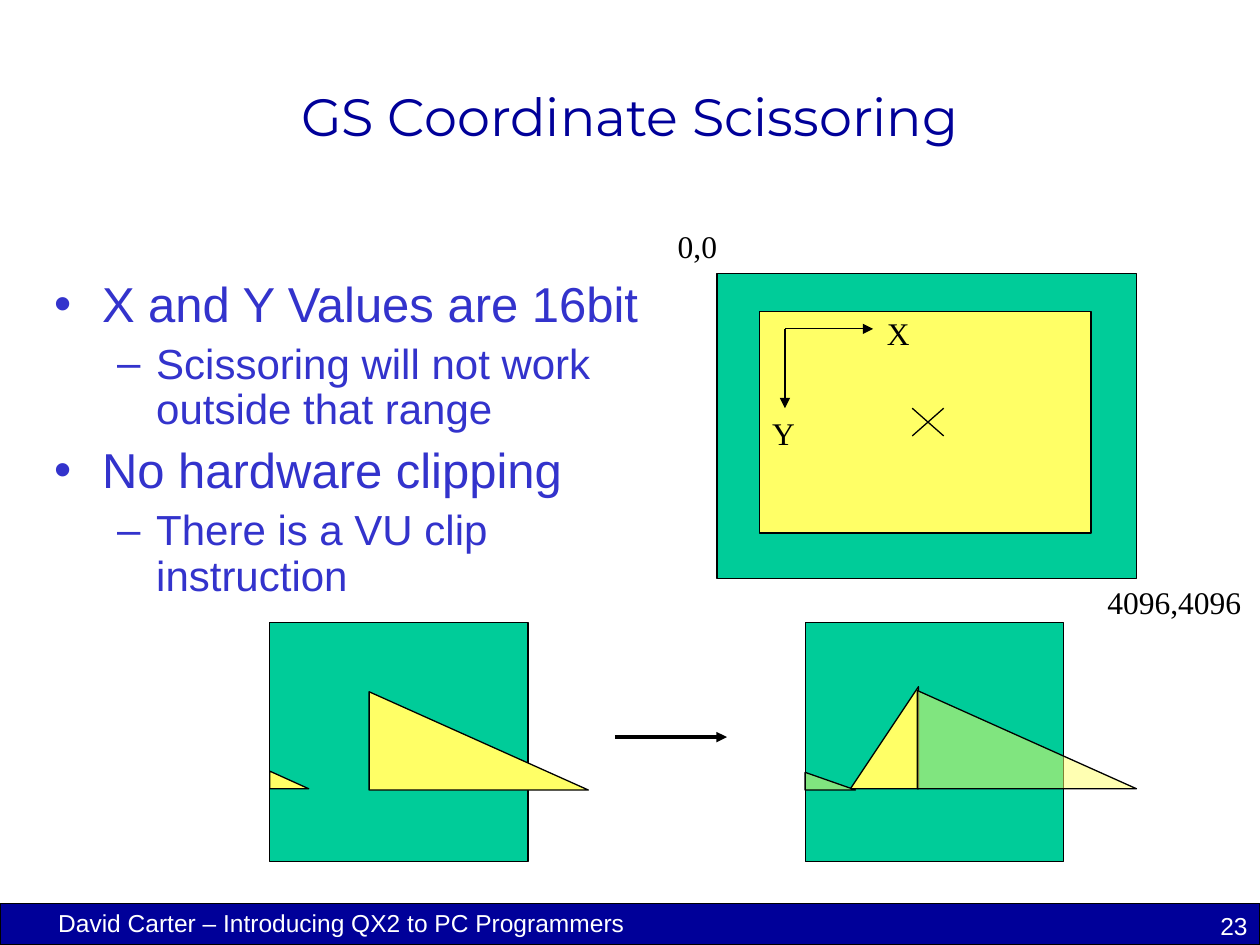
from lxml import etree
from pptx import Presentation, util as u
from pptx.dml.color import RGBColor
from pptx.enum import shapes, text
from pptx.oxml import ns

NAVY = RGBColor(0x00, 0x00, 0x99)
BLUE = RGBColor(0x33, 0x33, 0xCC)
GREEN = RGBColor(0x00, 0xCC, 0x99)
YELLOW = RGBColor(0xFF, 0xFF, 0x66)
WHITE = RGBColor(0xFF, 0xFF, 0xFF)
BLACK = RGBColor(0, 0, 0)

TITLE = "GS Coordinate Scissoring"
BULLETS = [
    (0, "X and Y Values are 16bit"),
    (1, "Scissoring will not work outside that range"),
    (0, "No hardware clipping"),
    (1, "There is a VU clip instruction"),
]
# level: size, space before, left indent, hanging indent, bullet
LEVELS = {0: (28, 7, 0.38, 0.38, "•"), 1: (24, 6, 0.81, 0.31, "–")}

WIDTH, HEIGHT = 10, 7.5
FOOTER_HEIGHT = 0.33
LABELS = [  # words, left, top, width, height
    ("0,0", 5.28, 1.75, 0.58, 0.4),
    ("4096,4096", 8.69, 4.58, 1.42, 0.4),
    ("Y", 6.03, 3.24, 0.51, 0.4),
    ("X", 6.94, 2.44, 0.38, 0.4),
]
RANGE = (5.69, 2.17, 3.33, 2.42)
SCREEN = (6.03, 2.47, 2.63, 1.76)
AXIS_ORIGIN = (6.23, 2.61)
AXIS_ENDS = [(6.23, 3.24), (6.93, 2.61)]
CROSS_HALF = (0.125, 0.11)

PANEL_TOP, PANEL_WIDTH, PANEL_HEIGHT = 4.94, 2.05, 1.9
PANELS = {  # left edge: triangles as offset x, y, width, height, opacity %, mirrored
    2.14: [(0.79, 0.55, 1.74, 0.78, 100, False),
           (0, 1.18, 0.31, 0.14, 100, False)],
    6.39: [(0.36, 0.51, 0.54, 0.81, 100, True),
           (0.89, 0.54, 1.74, 0.78, 50, False),
           (0, 1.19, 0.4, 0.14, 50, False)],
}


def inches(*lengths):
    return [u.Inches(length) for length in lengths]


def place(shape, *frame):
    shape.left, shape.top, shape.width, shape.height = inches(*frame)


def style(para, size, font, color, align=text.PP_ALIGN.LEFT):
    para.alignment = align
    for span in para.runs:
        span.font.size = u.Pt(size)
        span.font.name = font
        span.font.color.rgb = color


def add_label(page, words, frame, size, font, color, align=text.PP_ALIGN.LEFT, wrap=True):
    box = page.shapes.add_textbox(*inches(*frame))
    box.text_frame.word_wrap = wrap
    box.text_frame.text = words
    style(box.text_frame.paragraphs[0], size, font, color, align)


def add_block(page, kind, frame, color, opacity=100):
    block = page.shapes.add_shape(kind, *inches(*frame))
    block.shadow.inherit = False
    block.fill.solid()
    block.fill.fore_color.rgb = color
    block.line.color.rgb = BLACK
    block.line.width = u.Pt(0.75)
    if opacity < 100:
        tint = block.fill._xPr.find(".//" + ns.qn("a:srgbClr"))
        etree.SubElement(tint, ns.qn("a:alpha"), val=str(opacity * 1000))
    return block


def add_line(page, start, end, width=0.75, arrow=False):
    line = page.shapes.add_connector(shapes.MSO_CONNECTOR.STRAIGHT, *inches(*start, *end))
    line.line.color.rgb = BLACK
    line.line.width = u.Pt(width)
    if arrow:
        etree.SubElement(line.line._get_or_add_ln(), ns.qn("a:tailEnd"), type="triangle")
    etree.SubElement(line._element.spPr, ns.qn("a:effectLst"))


def fill_title(title):
    place(title, 0.75, 0.5, 8.5, 0.83)
    title.text_frame.text = TITLE
    title.text_frame.vertical_anchor = text.MSO_ANCHOR.MIDDLE
    title.text_frame.auto_size = text.MSO_AUTO_SIZE.NONE
    style(title.text_frame.paragraphs[0], 30, "Montserrat", NAVY, text.PP_ALIGN.CENTER)


def fill_body(body):
    place(body, 0.33, 2.17, 4.92, 4.83)
    frame = body.text_frame
    frame.auto_size = text.MSO_AUTO_SIZE.NONE
    frame.text = "\n".join(words for _, words in BULLETS)
    for para, (level, _) in zip(frame.paragraphs, BULLETS):
        size, before, indent, hanging, mark = LEVELS[level]
        para.level = level
        para.line_spacing = 0.9
        para.space_before = u.Pt(before)
        style(para, size, "Arial", BLUE)
        props = para._p.get_or_add_pPr()
        props.set("marL", str(u.Inches(indent)))
        props.set("indent", str(-u.Inches(hanging)))
        tint = etree.SubElement(props, ns.qn("a:buClr"))
        etree.SubElement(tint, ns.qn("a:srgbClr"), val=str(BLUE))
        etree.SubElement(props, ns.qn("a:buFont"), typeface="Arial")
        etree.SubElement(props, ns.qn("a:buChar"), char=mark)


def draw_footer(page):
    add_block(page, shapes.MSO_SHAPE.RECTANGLE,
              (0, HEIGHT - FOOTER_HEIGHT, WIDTH, FOOTER_HEIGHT), NAVY)
    add_label(page, "David Carter – Introducing QX2 to PC Programmers",
              (0.25, 7.16, 4.92, 0.28), 14, "Arial", WHITE, text.PP_ALIGN.CENTER)
    add_label(page, "23", (7.92, 7.18, 2.08, 0.33), 14, "Arial", WHITE, text.PP_ALIGN.RIGHT)


def draw_coordinate_range(page):
    for frame, color in ((RANGE, GREEN), (SCREEN, YELLOW)):
        add_block(page, shapes.MSO_SHAPE.RECTANGLE, frame, color)
    left, top, width, height = SCREEN
    x, y = left + width / 2 + 0.02, top + height / 2
    dx, dy = CROSS_HALF
    for slope in (-1, 1):
        add_line(page, (x - dx, y - slope * dy), (x + dx, y + slope * dy))
    for end in AXIS_ENDS:
        add_line(page, AXIS_ORIGIN, end, arrow=True)
    for words, *frame in LABELS:
        add_label(page, words, frame, 18, "Times New Roman", BLACK, wrap=words != "X")


def draw_scissoring(page):
    for left, triangles in PANELS.items():
        add_block(page, shapes.MSO_SHAPE.RECTANGLE,
                  (left, PANEL_TOP, PANEL_WIDTH, PANEL_HEIGHT), GREEN)
        for x, y, width, height, opacity, mirrored in triangles:
            triangle = add_block(page, shapes.MSO_SHAPE.RIGHT_TRIANGLE,
                                 (left + x, PANEL_TOP + y, width, height), YELLOW, opacity)
            if mirrored:
                triangle._element.spPr.xfrm.set("flipH", "1")
    add_line(page, (4.88, 5.85), (5.77, 5.85), width=2, arrow=True)


def main():
    deck = Presentation()
    deck.slide_width, deck.slide_height = inches(WIDTH, HEIGHT)
    page = deck.slides.add_slide(deck.slide_layouts[1])
    fill_title(page.shapes.title)
    fill_body(page.placeholders[1])
    draw_footer(page)
    draw_coordinate_range(page)
    draw_scissoring(page)
    deck.save("out.pptx")


if __name__ == "__main__":
    main()
